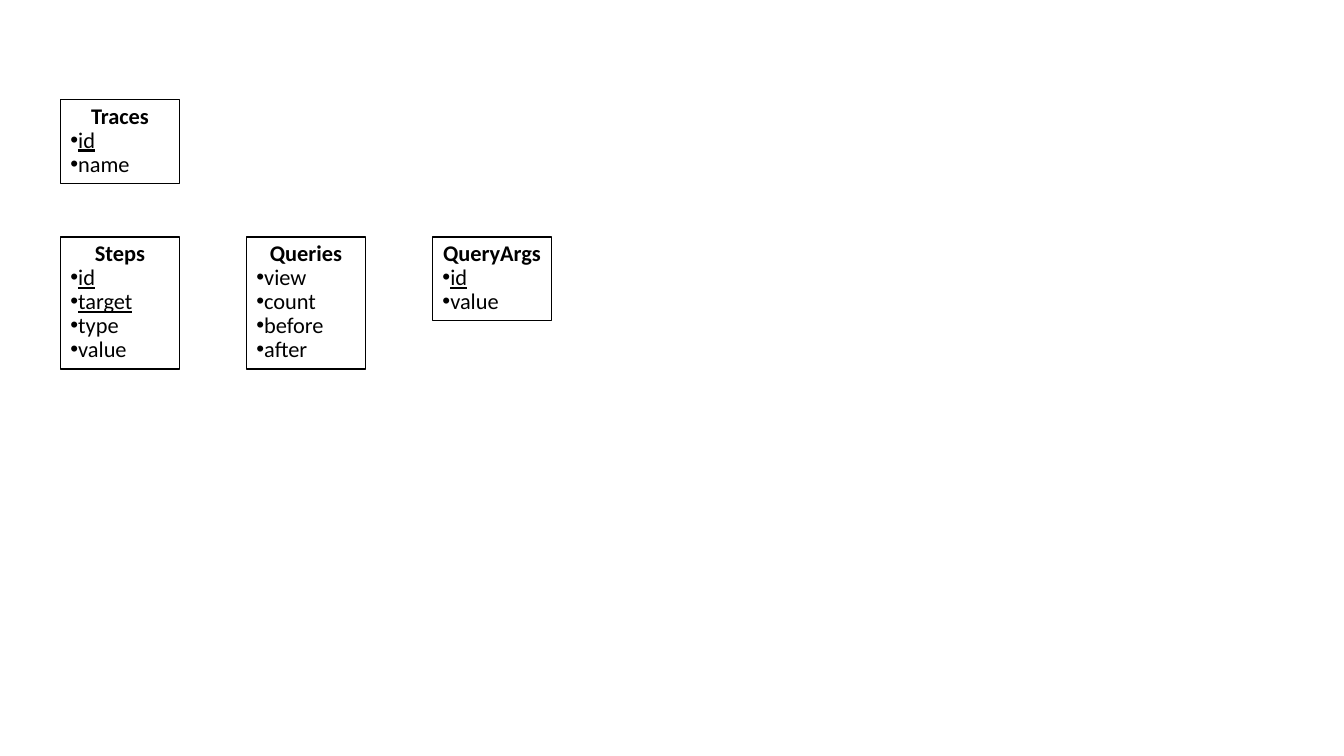
from dataclasses import dataclass

from lxml.etree import SubElement
from pptx import Presentation
from pptx.dml.color import RGBColor
from pptx.enum.shapes import MSO_SHAPE
from pptx.enum.text import MSO_ANCHOR, MSO_AUTO_SIZE, PP_ALIGN
from pptx.oxml.ns import qn
from pptx.slide import Slide
from pptx.text.text import TextFrame
from pptx.util import Inches, Pt

BLACK = RGBColor(0x00, 0x00, 0x00)
WHITE = RGBColor(0xFF, 0xFF, 0xFF)

LEFT = 0.6
COLUMN_STEP = 1.845
ROW_TOPS = (0.99, 2.35)
ENTITY_WIDTH = 1.18
LINE_HEIGHT = 0.24
PADDING = 0.11


@dataclass(frozen=True)
class Entity:
    name: str
    row: int
    column: int
    keys: tuple[str, ...]
    fields: tuple[str, ...]


ENTITIES = (
    Entity("Traces", 0, 0, ("id",), ("name",)),
    Entity("Steps", 1, 0, ("id", "target"), ("type", "value")),
    Entity("Queries", 1, 1, (), ("view", "count", "before", "after")),
    Entity("QueryArgs", 1, 2, ("id",), ("value",)),
)


def write_line(
    frame: TextFrame,
    text: str,
    *,
    bold: bool = False,
    underline: bool = False,
    bullet: bool = True,
) -> None:
    first = frame.paragraphs[0]
    paragraph = frame.add_paragraph() if first.runs else first
    paragraph.alignment = PP_ALIGN.LEFT if bullet else PP_ALIGN.CENTER
    paragraph.line_spacing = 0.9
    if bullet:
        properties = paragraph._p.get_or_add_pPr()
        properties.set("marL", str(Inches(0.04)))
        properties.set("indent", str(Inches(-0.12)))
        SubElement(properties, qn("a:buFont"), typeface="Arial")
        SubElement(properties, qn("a:buChar"), char="•")
    run = paragraph.add_run()
    run.text = text
    run.font.name = "Calibri"
    run.font.size = Pt(16)
    run.font.color.rgb = BLACK
    run.font.bold = bold
    run.font.underline = underline


def draw_entity(slide: Slide, entity: Entity) -> None:
    line_count = 1 + len(entity.keys) + len(entity.fields)
    box = slide.shapes.add_shape(
        MSO_SHAPE.RECTANGLE,
        Inches(LEFT + entity.column * COLUMN_STEP),
        Inches(ROW_TOPS[entity.row]),
        Inches(ENTITY_WIDTH),
        Inches(PADDING + line_count * LINE_HEIGHT),
    )
    box.shadow.inherit = False
    box.fill.solid()
    box.fill.fore_color.rgb = WHITE
    box.line.color.rgb = BLACK
    box.line.width = Pt(1)
    frame = box.text_frame
    frame.word_wrap = True
    frame.auto_size = MSO_AUTO_SIZE.SHAPE_TO_FIT_TEXT
    frame.vertical_anchor = MSO_ANCHOR.TOP
    write_line(frame, entity.name, bold=True, bullet=False)
    for key in entity.keys:
        write_line(frame, key, underline=True)
    for field in entity.fields:
        write_line(frame, field)


def main() -> None:
    presentation = Presentation()
    presentation.slide_width = Inches(13.33)
    presentation.slide_height = Inches(7.5)
    slide = presentation.slides.add_slide(presentation.slide_layouts[6])
    for entity in ENTITIES:
        draw_entity(slide, entity)
    presentation.save("out.pptx")


if __name__ == "__main__":
    main()
